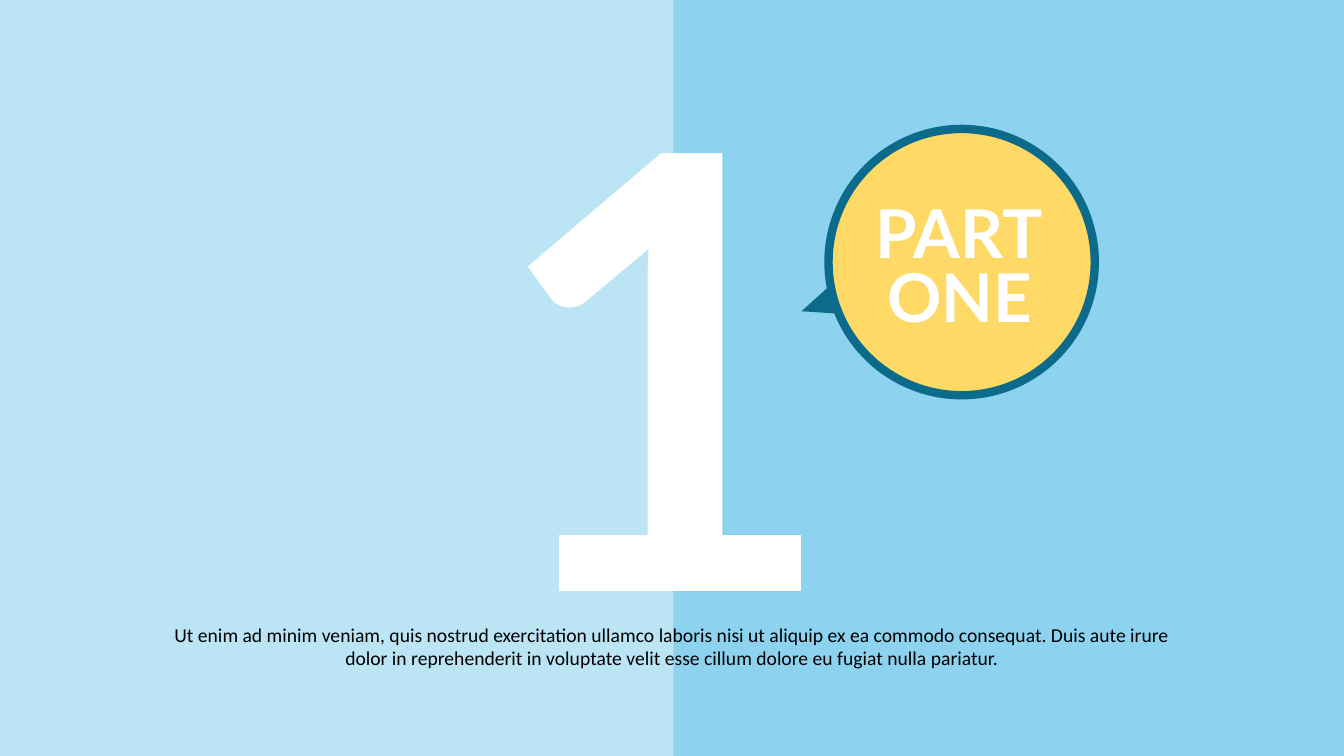
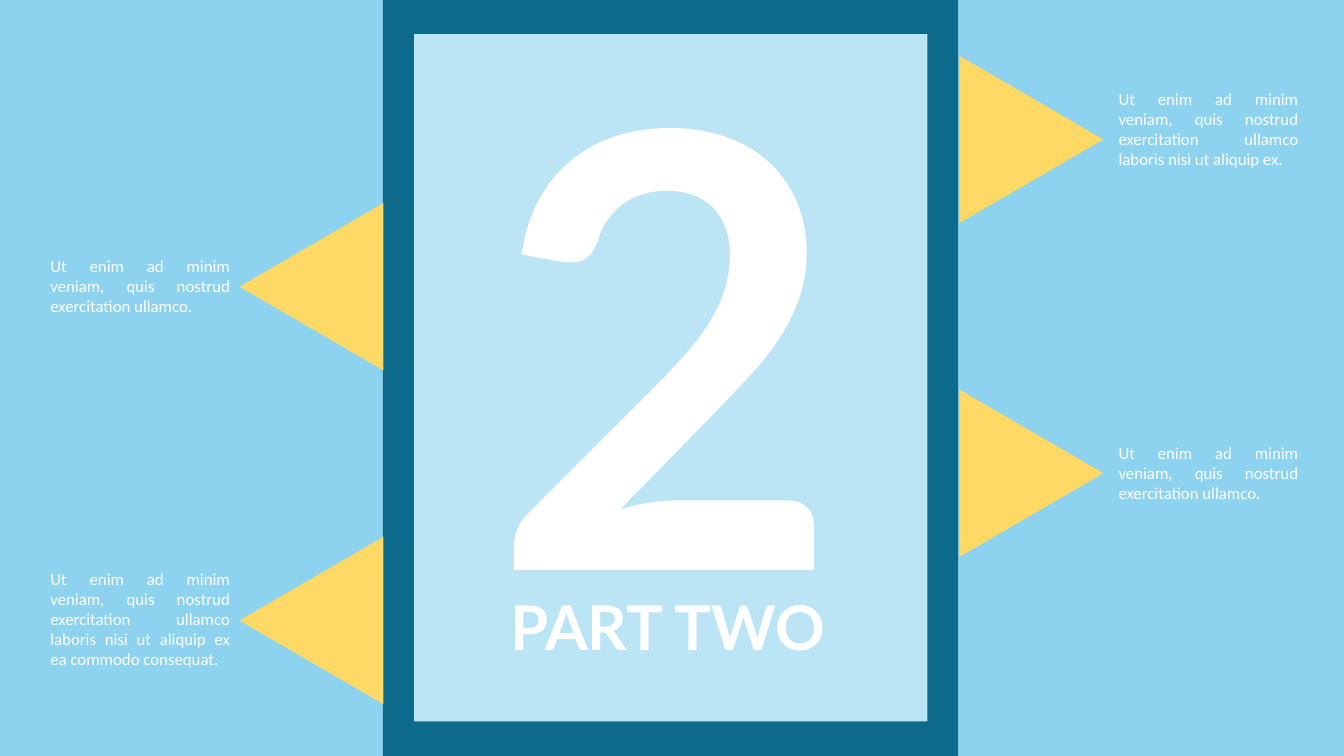
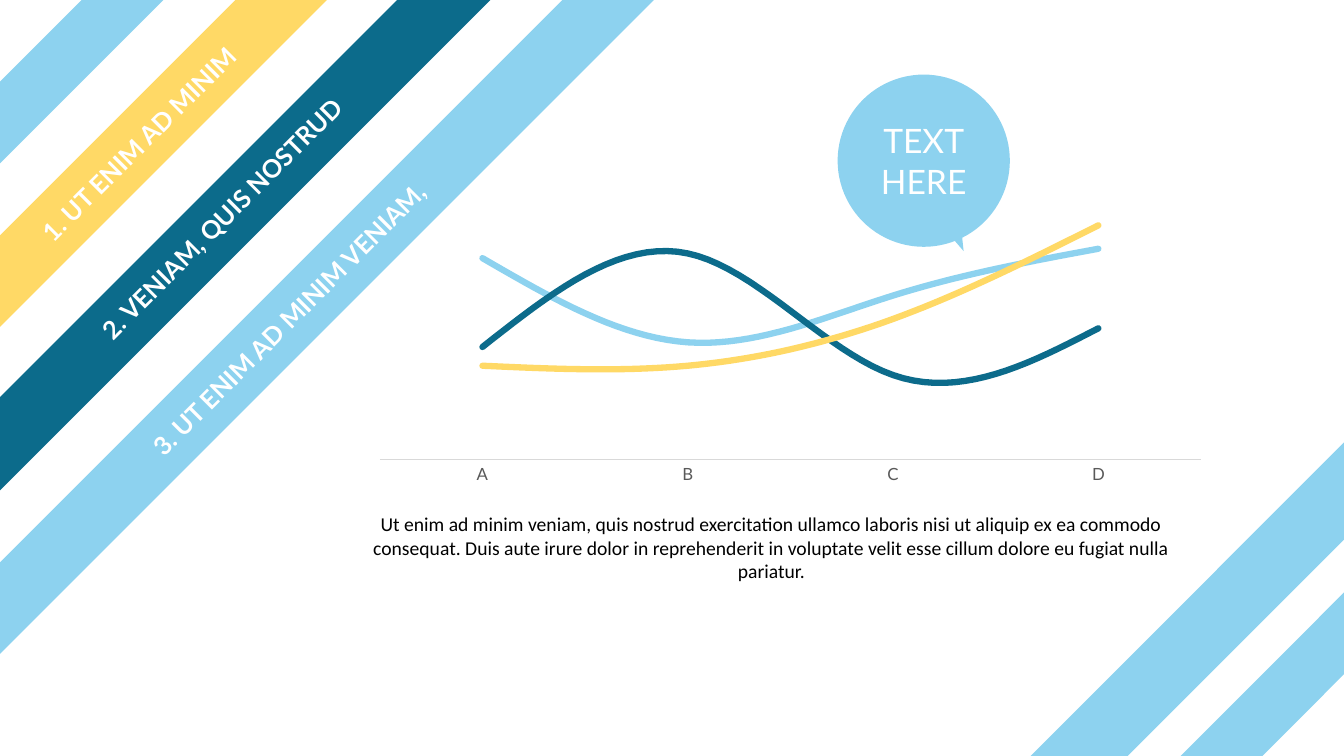
from pptx import Presentation
from pptx.chart.data import CategoryChartData
from pptx.dml.color import RGBColor
from pptx.enum.chart import XL_CHART_TYPE, XL_TICK_MARK
from pptx.enum.shapes import MSO_SHAPE as SHAPE
from pptx.enum.text import MSO_ANCHOR as ANCHOR, MSO_AUTO_SIZE as AUTO_SIZE, PP_ALIGN as ALIGN
from pptx.oxml.ns import qn
from pptx.util import Cm, Pt

# Shared look
SKY = RGBColor(0x8D, 0xD2, 0xEF)
PALE = RGBColor(0xBB, 0xE4, 0xF5)
DEEP = RGBColor(0x0C, 0x6B, 0x8B)
YELLOW = RGBColor(0xFF, 0xD9, 0x66)
WHITE = RGBColor(0xFF, 0xFF, 0xFF)
BLACK = RGBColor(0, 0, 0)
GREY = RGBColor(0x59, 0x59, 0x59)
RULE = RGBColor(0xD9, 0xD9, 0xD9)
DISPLAY, BODY = "Lato", "Calibri"
WIDTH, HEIGHT = 33.87, 19.05

LEAD = "Ut enim ad minim veniam, quis nostrud exercitation ullamco"
SUMMARY = (LEAD + " laboris nisi ut aliquip ex ea commodo consequat. Duis aute irure dolor "
           "in reprehenderit in voluptate velit esse cillum dolore eu fugiat nulla pariatur.")


def new_slide(deck, background):
    slide = deck.slides.add_slide(deck.slide_layouts[6])
    slide.background.fill.solid()
    slide.background.fill.fore_color.rgb = background
    return slide


def add_figure(shapes, preset, box, fill, rotation=0, outline=None):
    """Add a flat preset shape; box is left, top, width, height in cm."""
    figure = shapes.add_shape(preset, *map(Cm, box))
    figure.shadow.inherit = False
    figure.fill.solid()
    figure.fill.fore_color.rgb = fill
    figure.rotation = rotation
    if outline is None:
        figure.line.fill.background()
    else:
        figure.line.color.rgb = outline
        figure.line.width = Pt(6)
    return figure


def write(frame, text, size=14, font=BODY, color=BLACK, bold=False,
          align=ALIGN.LEFT, after=0):
    """Fill a text frame, one paragraph per line of text."""
    for number, line in enumerate(text.split("\n")):
        paragraph = frame.add_paragraph() if number else frame.paragraphs[0]
        paragraph.alignment = align
        paragraph.space_after = Pt(after)
        run = paragraph.add_run()
        run.text = line
        run.font.size, run.font.name, run.font.bold = Pt(size), font, bold
        run.font.color.rgb = color


def add_text(shapes, box, text, wrap=True, rotation=0, **style):
    label = shapes.add_textbox(*map(Cm, box))
    label.rotation = rotation
    label.text_frame.word_wrap = wrap
    label.text_frame.auto_size = AUTO_SIZE.SHAPE_TO_FIT_TEXT
    write(label.text_frame, text, **style)


def add_heading(shapes, box, text, size, **options):
    add_text(shapes, box, text, size=size, font=DISPLAY, color=WHITE, bold=True, **options)


def add_big_number(slide, left, top, digit):
    add_heading(slide.shapes, (left, top, 9.37, 18.72), digit, 432, wrap=False)


def add_summary(slide, box):
    add_text(slide.shapes, box, SUMMARY, align=ALIGN.CENTER, after=6)


def add_bubble(slide, left, top, diameter, fill, tail_box, tail_rotation, outline=None):
    """Group a circle with its pointed tail; return the group's shapes and the circle."""
    parts = slide.shapes.add_group_shape().shapes
    add_figure(parts, SHAPE.ISOSCELES_TRIANGLE, tail_box, outline or fill, tail_rotation)
    circle = add_figure(parts, SHAPE.OVAL, (left, top, diameter, diameter), fill,
                        outline=outline)
    return parts, circle


def add_stripe(slide, size, fill, inner=0.5, bottom_right=False):
    """Draw a diagonal stripe that fits into a slide corner."""
    left, top = (WIDTH - size, HEIGHT - size) if bottom_right else (0, 0)
    stripe = add_figure(slide.shapes, SHAPE.DIAGONAL_STRIPE, (left, top, size, size), fill,
                        180 if bottom_right else 0)
    stripe.adjustments[0] = inner


def add_curves(slide, box, categories, curves):
    """Add a smoothed line chart; curves are (name, values, colour)."""
    data = CategoryChartData()
    data.categories = categories
    for name, values, _ in curves:
        data.add_series(name, values)
    chart = slide.shapes.add_chart(XL_CHART_TYPE.LINE, *map(Cm, box), data).chart
    chart.has_legend = chart.has_title = False
    chart.font.name, chart.font.size = DISPLAY, Pt(10)
    chart.font.color.rgb = BLACK
    chart.plots[0].vary_by_categories = False

    letters, scale = chart.category_axis, chart.value_axis
    letters.major_tick_mark = letters.minor_tick_mark = XL_TICK_MARK.NONE
    letters.format.line.color.rgb = RULE
    letters.format.line.width = Pt(0.75)
    letters.tick_labels.font.name = DISPLAY
    letters.tick_labels.font.size = Pt(12)
    letters.tick_labels.font.color.rgb = GREY
    scale.minimum_scale, scale.maximum_scale = 0, 120
    scale.has_major_gridlines = False
    scale.visible = False

    for curve, (_, _, color) in zip(chart.plots[0].series, curves):
        curve.smooth = True
        curve.format.line.color.rgb = color
        curve.format.line.width = Pt(4.5)
        # Round line ends
        curve._element.find(qn("c:spPr")).find(qn("a:ln")).set("cap", "rnd")


def build_part_one(deck):
    slide = new_slide(deck, SKY)
    add_figure(slide.shapes, SHAPE.RECTANGLE, (0, 0, 16.97, HEIGHT), PALE)
    add_summary(slide, (3.68, 15.57, 26.52, 1.45))
    add_big_number(slide, 12.07, -0.46, "1")
    parts, _ = add_bubble(slide, 20.88, 3.25, 6.71, YELLOW,
                          (20.27, 6.88, 1.22, 1.45), 250.9, outline=DEEP)
    for word, left, top, width in (("PART", 21.59, 4.7, 5.16), ("ONE", 21.54, 6.3, 5.28)):
        add_heading(parts, (left, top, width, 2.31), word, 48, align=ALIGN.CENTER)


def build_part_two(deck):
    slide = new_slide(deck, SKY)
    # Framed panel
    add_figure(slide.shapes, SHAPE.RECTANGLE, (9.65, 0, 14.5, HEIGHT), DEEP)
    add_figure(slide.shapes, SHAPE.RECTANGLE, (10.44, 0.86, 12.93, 17.32), PALE)
    add_big_number(slide, 12.14, -0.99, "2")
    add_heading(slide.shapes, (12.5, 14.71, 8.66, 2.13), "PART TWO", 44, align=ALIGN.CENTER)

    # Pointers with notes: arrow left, rotation, note left
    left_side, right_side = (5.74, 270, 1.02), (23.88, 90, 27.94)
    notes = (
        (right_side, 1.7, 2.11, 2.31, LEAD + " laboris nisi ut aliquip ex."),
        (left_side, 5.41, 6.32, 1.8, LEAD + "."),
        (right_side, 10.11, 11.02, 1.8, LEAD + "."),
        (left_side, 13.82, 14.2, 2.82,
         LEAD + " laboris nisi ut aliquip ex ea commodo consequat."),
    )
    for (arrow_left, rotation, note_left), arrow_top, note_top, height, note in notes:
        add_figure(slide.shapes, SHAPE.ISOSCELES_TRIANGLE,
                   (arrow_left, arrow_top, 4.22, 3.63), YELLOW, rotation)
        add_text(slide.shapes, (note_left, note_top, 5.03, height), note,
                 size=12, color=WHITE, align=ALIGN.JUSTIFY, after=6)


def build_curves(deck):
    slide = new_slide(deck, WHITE)
    # Corner stripes, each one step larger than the last
    stripes = ((SKY, 0.5), (YELLOW, 0.72), (DEEP, 0.81), (SKY, 0.86))
    for step, (fill, inner) in enumerate(stripes, start=1):
        add_stripe(slide, 4.12 * step, fill, inner)
    add_stripe(slide, 4.12, SKY, bottom_right=True)
    add_stripe(slide, 7.9, SKY, 0.69, bottom_right=True)

    stripe_labels = (("1. UT ENIM AD MINIM", -0.08, 3.02, 7.34),
                     ("2. VENIAM, QUIS NOSTRUD", 1.19, 4.93, 8.92),
                     ("3. UT ENIM AD MINIM VENIAM,", 2.26, 7.34, 10.41))
    for label, left, top, width in stripe_labels:
        add_heading(slide.shapes, (left, top, width, 1.02), label, 18,
                    wrap=False, rotation=315)

    # Chart and its text
    add_curves(slide, (9.14, 4.34, 21.56, 8), "ABCD", (
        ("Series 1", (86, 50, 70, 90), SKY),
        ("Series 2", (48, 88, 36, 56), DEEP),
        ("Series 3", (40, 40, 60, 100), YELLOW),
    ))
    add_summary(slide, (9.14, 12.78, 20.6, 2.06))
    _, circle = add_bubble(slide, 21.11, 1.88, 4.34, SKY, (23.62, 5.08, 0.81, 1.3), 156.6)
    circle.text_frame.vertical_anchor = ANCHOR.MIDDLE
    write(circle.text_frame, "TEXT\nHERE", size=24, font=DISPLAY, color=WHITE,
          align=ALIGN.CENTER)


def main():
    deck = Presentation()
    deck.slide_width, deck.slide_height = Cm(WIDTH), Cm(HEIGHT)
    build_part_one(deck)
    build_part_two(deck)
    build_curves(deck)
    deck.save("out.pptx")


if __name__ == "__main__":
    main()
